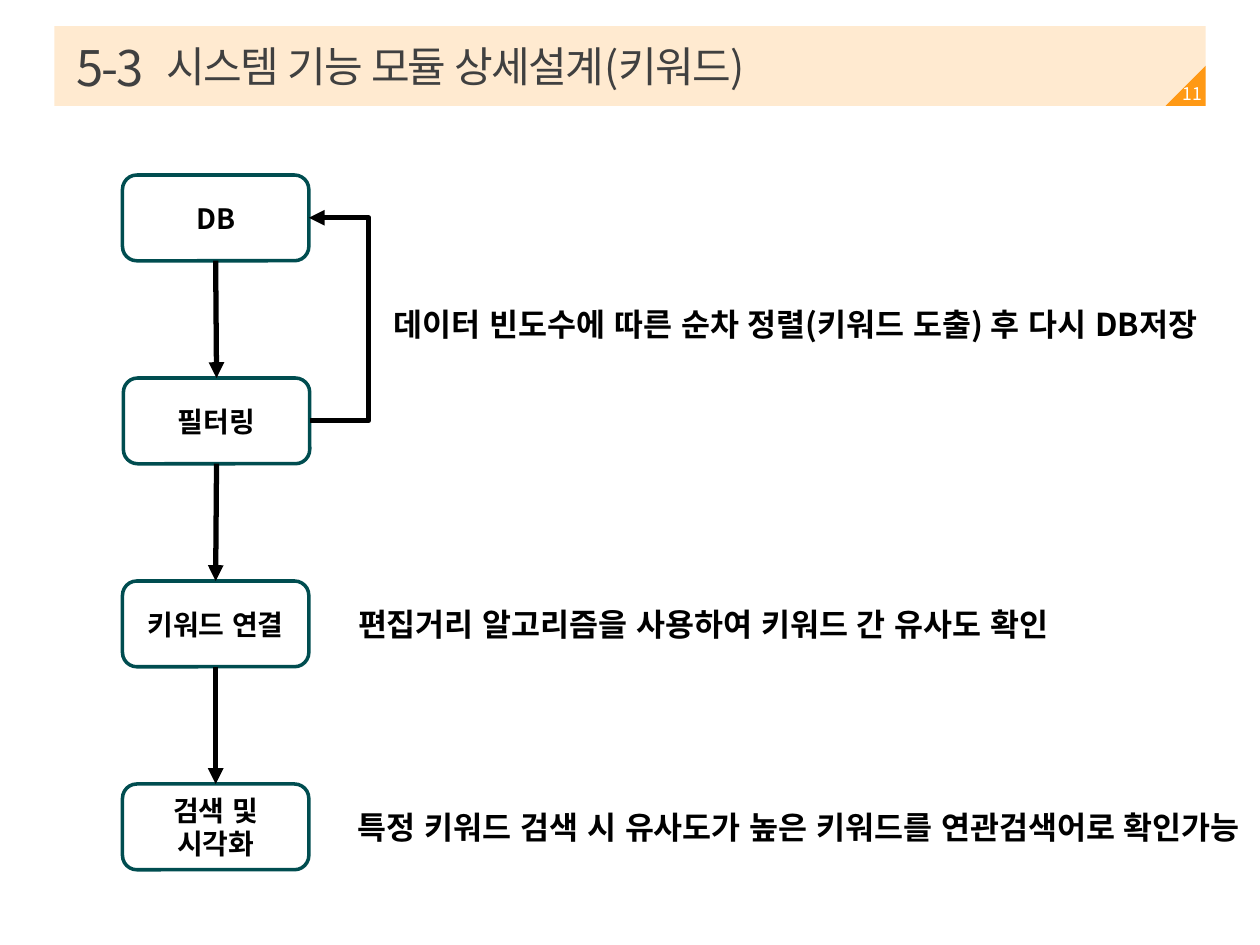
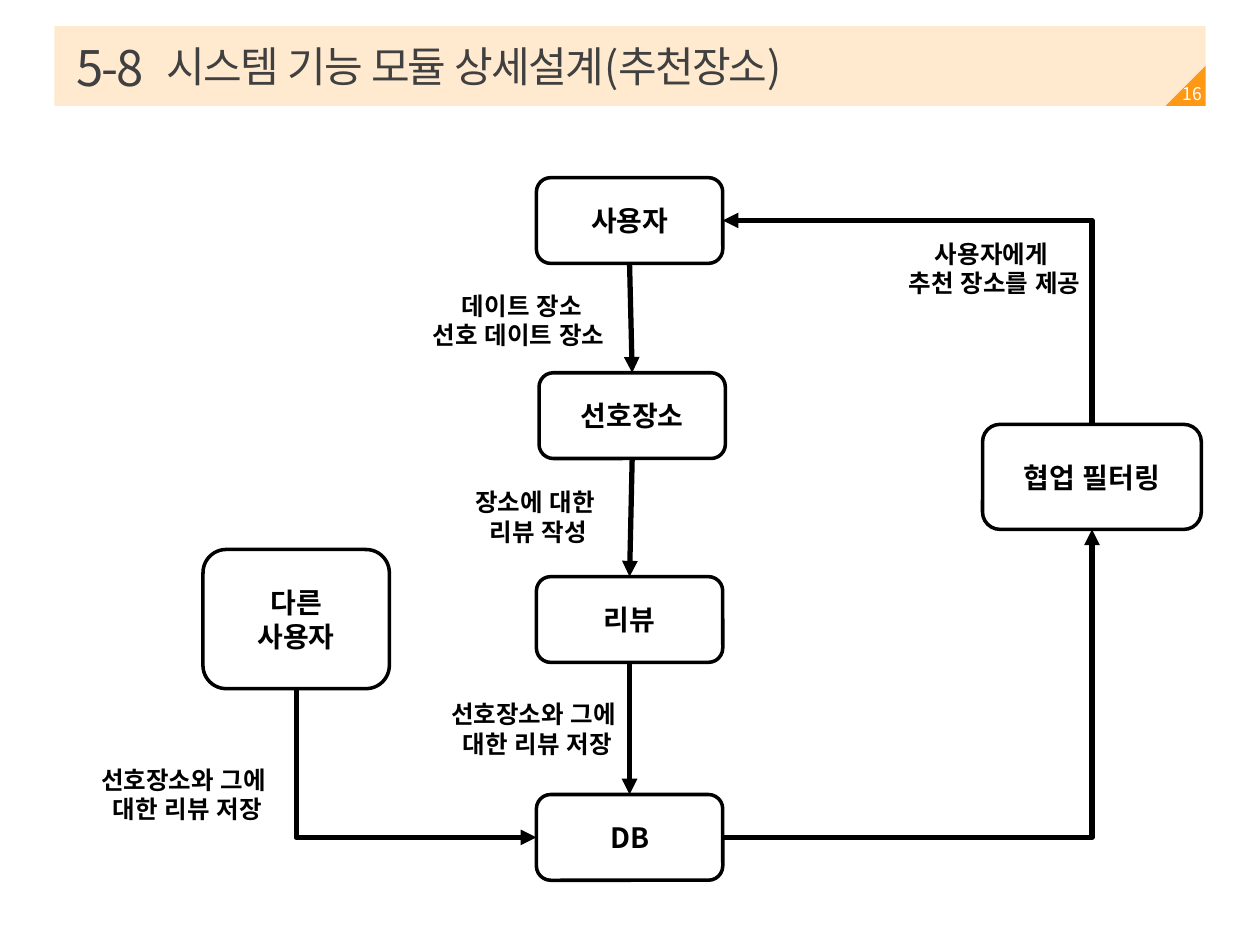
from dataclasses import dataclass
from typing import Any, Optional

from lxml import etree
from pptx import Presentation
from pptx.dml.color import RGBColor
from pptx.enum import lang, shapes, text
from pptx.oxml.ns import qn
from pptx.util import Pt

TOP, LEFT, BOTTOM, RIGHT = range(4)


@dataclass(frozen=True)
class Theme:
    font: str = "Noto Sans CJK KR"
    accent: str = "FF9915"
    white: str = "FFFFFF"
    black: str = "000000"
    teal: str = "004D50"
    title: str = "404040"
    title_size: float = 24
    section_size: float = 28
    page_size: float = 10
    box_size: float = 16
    note_size: float = 18
    label_size: float = 14
    border: float = 2
    arrow: float = 3


THEME = Theme()


@dataclass(frozen=True)
class Box:
    words: str
    x: float
    y: float
    w: float = 106.5
    h: float = 49
    fill: Optional[str] = None


@dataclass(frozen=True)
class Label:
    words: str
    x: float
    y: float
    w: float
    h: float = 41
    fill: Optional[str] = None


@dataclass(frozen=True)
class Link:
    start: int
    start_side: int
    end: int
    end_side: int
    via: Optional[float] = None


def sub(parent: Any, tag: str, **attrs: Any) -> Any:
    return etree.SubElement(parent, qn(tag), {k: str(v) for k, v in attrs.items()})


def set_all(obj: Any, values: dict[str, Any]) -> None:
    for name, value in values.items():
        setattr(obj, name, value)


def paint(sp: Any, fill: Optional[str], line: Optional[str] = None) -> None:
    for part, color in ((sp.fill, fill), (sp.line.fill, line)):
        if color:
            part.solid()
            part.fore_color.rgb = RGBColor.from_string(color)
        else:
            part.background()


def write(sp: Any, words: str, size: float, color: str, bold: bool = False,
          centered: bool = True, middle: bool = True, wrap: bool = True,
          grow: bool = False, heading: bool = False) -> None:
    tf = sp.text_frame
    set_all(tf, {
        "text": words,
        "word_wrap": wrap,
        "vertical_anchor": text.MSO_ANCHOR.MIDDLE if middle else text.MSO_ANCHOR.TOP,
        "auto_size": text.MSO_AUTO_SIZE.SHAPE_TO_FIT_TEXT if grow else text.MSO_AUTO_SIZE.NONE,
    })
    for p in tf.paragraphs:
        p.alignment = text.PP_ALIGN.CENTER if centered else text.PP_ALIGN.LEFT
        for r in p.runs:
            set_all(r.font, {"name": THEME.font, "size": Pt(size), "bold": bold,
                             "language_id": lang.MSO_LANGUAGE_ID.KOREAN})
            r.font.color.rgb = RGBColor.from_string(color)
            props = r.font._element
            sub(props, "a:ea", typeface=THEME.font)
            if heading:
                props.set("spc", "-100")


def add_shape(s: Any, kind: Any, x: float, y: float, w: float, h: float,
              fill: Optional[str], line: Optional[str] = None) -> Any:
    sp = s.shapes.add_shape(kind, Pt(x), Pt(y), Pt(w), Pt(h))
    sp.shadow.inherit = False
    paint(sp, fill, line)
    return sp


def add_text(s: Any, x: float, y: float, w: float, h: float, words: str,
             size: float, color: str, **style: bool) -> Any:
    sp = s.shapes.add_textbox(Pt(x), Pt(y), Pt(w), Pt(h))
    write(sp, words, size, color, **style)
    return sp


def add_frame(prs: Any, section: str, title: str, page: str) -> Any:
    s = prs.slides.add_slide(prs.slide_layouts[6])
    band = add_shape(s, shapes.MSO_SHAPE.RECTANGLE, 31, 15, 658, 45.5, THEME.accent)
    color = band._element.spPr.find(qn("a:solidFill"))[0]
    sub(color, "a:alpha", val=20000)
    for fill in (THEME.white, THEME.accent):
        corner = add_shape(s, shapes.MSO_SHAPE.RIGHT_TRIANGLE, 666, 37.5, 23, 23, fill)
        corner.rotation = 270
    add_text(s, 88, 18, 493, 39.5, title, THEME.title_size, THEME.title,
             centered=False, heading=True)
    add_text(s, 36.5, 18.5, 57, 39.5, section, THEME.section_size, THEME.title,
             centered=False, heading=True)
    add_text(s, 667.5, 43, 27.5, 21, page, THEME.page_size, THEME.white)
    return s


def add_boxes(s: Any, boxes: list[Box], line: str) -> list[Any]:
    drawn = []
    for box in boxes:
        sp = add_shape(s, shapes.MSO_SHAPE.ROUNDED_RECTANGLE,
                       box.x, box.y, box.w, box.h, box.fill, line)
        sp.line.width = Pt(THEME.border)
        write(sp, box.words, THEME.box_size, THEME.black, bold=True)
        drawn.append(sp)
    return drawn


def add_labels(s: Any, labels: list[Label], size: float, centered: bool, wrap: bool) -> None:
    for label in labels:
        sp = add_text(s, label.x, label.y, label.w, label.h, label.words, size, THEME.black,
                      bold=True, centered=centered, middle=False, wrap=wrap, grow=True)
        paint(sp, label.fill)


def side_point(sp: Any, side: int) -> tuple[int, int]:
    dx, dy = ((1, 0), (0, 1), (1, 2), (2, 1))[side]
    return sp.left + sp.width * dx // 2, sp.top + sp.height * dy // 2


def add_link(s: Any, boxes: list[Any], link: Link) -> None:
    start, end = boxes[link.start], boxes[link.end]
    x1, y1 = side_point(start, link.start_side)
    x2, y2 = side_point(end, link.end_side)
    leaves_down = link.start_side in (TOP, BOTTOM)
    ends_down = link.end_side in (TOP, BOTTOM)
    straight = leaves_down and ends_down
    turned = leaves_down and not ends_down
    if turned:
        cx, cy, dx, dy = (x1 + x2) // 2, (y1 + y2) // 2, (x2 - x1) // 2, (y2 - y1) // 2
        x1, y1, x2, y2 = cx + dy, cy - dx, cx - dy, cy + dx
    kind = shapes.MSO_CONNECTOR.STRAIGHT if straight else shapes.MSO_CONNECTOR.ELBOW
    c = s.shapes.add_connector(kind, x1, y1, x2, y2)
    props = c._element.spPr
    if turned:
        props.find(qn("a:xfrm")).set("rot", str(270 * 60000))
    else:
        c.begin_connect(start, link.start_side)
        c.end_connect(end, link.end_side)
    geometry = props.find(qn("a:prstGeom"))
    if link.via is not None:
        bend = round(100000 * (Pt(link.via) - x1) / (x2 - x1))
        sub(geometry.find(qn("a:avLst")), "a:gd", name="adj1", fmla=f"val {bend}")
    elif not straight:
        geometry.set("prst", "bentConnector2")
    c.line.width = Pt(THEME.arrow)
    c.line.color.rgb = RGBColor.from_string(THEME.black)
    sub(c.line._get_or_add_ln(), "a:tailEnd", type="triangle")
    sub(props, "a:effectLst")


def keyword_slide(prs: Any) -> None:
    s = add_frame(prs, "5-3", "시스템 기능 모듈 상세설계(키워드)", "11")
    steps = ["DB", "필터링", "키워드 연결", "검색 및\n시각화"]
    boxes = add_boxes(s, [Box(step, 70.5 if i == 1 else 70, 100 + 116 * i)
                          for i, step in enumerate(steps)], THEME.teal)
    add_labels(s, [
        Label("데이터 빈도수에 따른 순차 정렬(키워드 도출) 후 다시 DB저장", 218, 170.5, 484.5, 29),
        Label("편집거리 알고리즘을 사용하여 키워드 간 유사도 확인", 197.5, 342, 423, 29),
        Label("특정 키워드 검색 시 유사도가 높은 키워드를 연관검색어로 확인가능", 197.5, 458, 529, 29),
    ], THEME.note_size, centered=False, wrap=False)
    links = [Link(i, BOTTOM, i + 1, TOP) for i in range(len(steps) - 1)]
    for link in [Link(1, RIGHT, 0, RIGHT, via=210), *links]:
        add_link(s, boxes, link)


def recommendation_slide(prs: Any) -> None:
    s = add_frame(prs, "5-8", "시스템 기능 모듈 상세설계(추천장소)", "16")
    user, favorite, review, db, others, filtering = range(6)
    boxes = add_boxes(s, [
        Box("사용자", 306.5, 101.5, fill=THEME.white),
        Box("선호장소", 308, 213, fill=THEME.white),
        Box("리뷰", 306.5, 329.5, fill=THEME.white),
        Box("DB", 306.5, 454),
        Box("다른\n사용자", 116, 314, h=79.5, fill=THEME.white),
        Box("협업 필터링", 561.5, 242.5, 125, 60),
    ], THEME.black)
    for link in (
        Link(user, BOTTOM, favorite, TOP),
        Link(favorite, BOTTOM, review, TOP),
        Link(review, BOTTOM, db, TOP),
        Link(others, BOTTOM, db, LEFT),
        Link(db, RIGHT, filtering, BOTTOM),
        Link(filtering, TOP, user, RIGHT),
    ):
        add_link(s, boxes, link)
    saving = "선호장소와 그에 \n대한 리뷰 저장"
    add_labels(s, [
        Label("데이트 장소\n선호 데이트 장소 ", 237, 162.5, 122.5),
        Label("장소에 대한 \n리뷰 작성", 258.5, 275, 98.5),
        Label(saving, 249, 396, 116),
        Label(saving, 49, 433.5, 116, fill=THEME.white),
        Label("사용자에게 \n추천 장소를 제공", 510.5, 133, 116),
    ], THEME.label_size, centered=True, wrap=True)


def main() -> None:
    prs = Presentation()
    set_all(prs, {"slide_width": Pt(720), "slide_height": Pt(540)})
    keyword_slide(prs)
    recommendation_slide(prs)
    prs.save("out.pptx")


if __name__ == "__main__":
    main()
